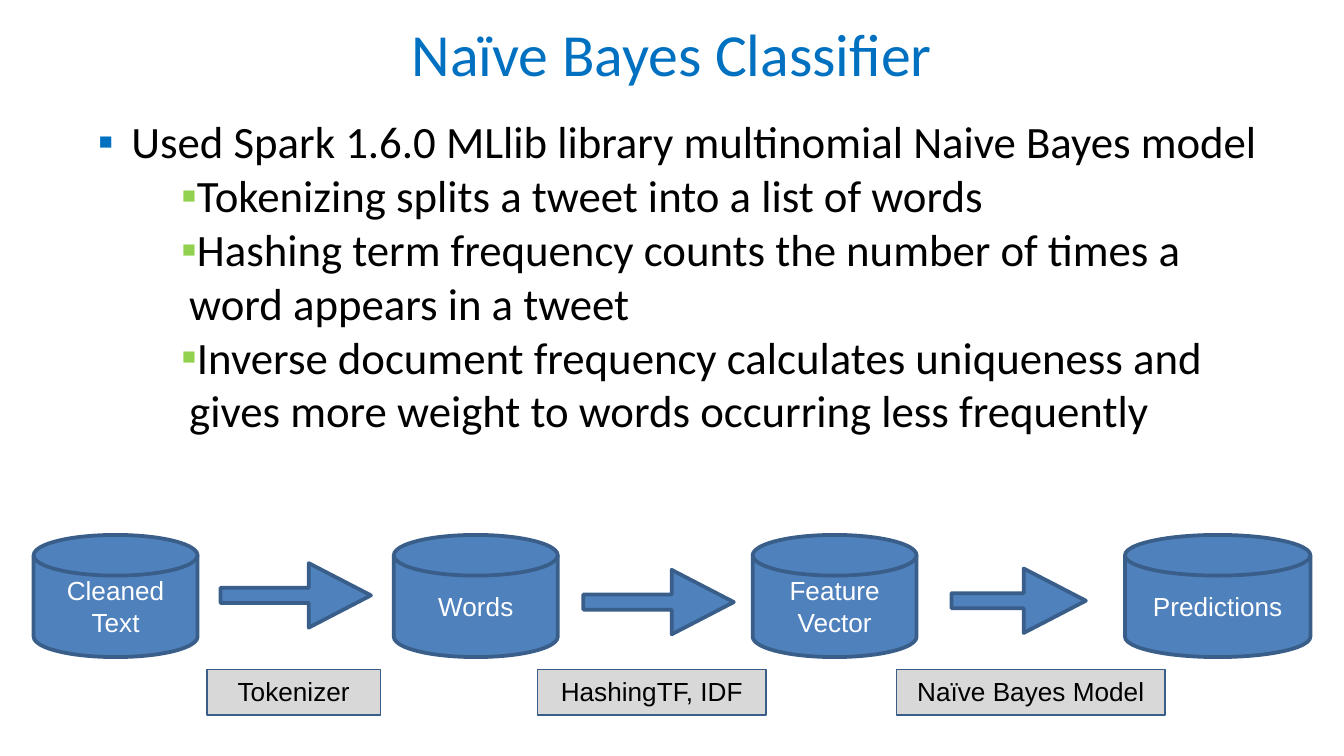
from lxml import etree
from pptx import Presentation
from pptx.dml.color import RGBColor
from pptx.enum.shapes import MSO_SHAPE
from pptx.enum.text import MSO_ANCHOR, PP_ALIGN
from pptx.oxml.ns import qn
from pptx.util import Inches, Pt

CENTER = PP_ALIGN.CENTER
LEFT = PP_ALIGN.LEFT
TOP = MSO_ANCHOR.TOP
MIDDLE = MSO_ANCHOR.MIDDLE
DISK = MSO_SHAPE.FLOWCHART_MAGNETIC_DISK
ARROW = MSO_SHAPE.RIGHT_ARROW
RECTANGLE = MSO_SHAPE.RECTANGLE

BLACK = RGBColor(0x00, 0x00, 0x00)
WHITE = RGBColor(0xFF, 0xFF, 0xFF)
TITLE_BLUE = RGBColor(0x00, 0x70, 0xC0)
BULLET_GREEN = RGBColor(0x92, 0xD0, 0x50)
STEP_BLUE = RGBColor(0x4F, 0x81, 0xBD)
OUTLINE_BLUE = RGBColor(0x39, 0x5E, 0x89)
LABEL_GREY = RGBColor(0xD8, 0xD8, 0xD8)

POINTS = [
    (0, "Used Spark 1.6.0 MLlib library multinomial Naive Bayes model"),
    (1, "Tokenizing splits a tweet into a list of words"),
    (1, "Hashing term frequency counts the number of times a word appears in a tweet"),
    (1, "Inverse document frequency calculates uniqueness and gives more weight "
        "to words occurring less frequently"),
]
LEVELS = [(0.38, -0.25, TITLE_BLUE), (0.81, -0.06, BULLET_GREEN)]

STAGES = [
    ("Cleaned Text", 0, 1.22),
    ("Words", 2.68, 1.22),
    ("Feature Vector", 5.35, 1.22),
    ("Predictions", 8.12, 1.38),
]
ARROWS = [(1.39, 0.21, 1.12), (4.09, 0.26, 1.12), (6.83, 0.25, 1)]
LABELS = [
    ("Tokenizer", 1.29, 1.29),
    ("HashingTF, IDF", 3.75, 1.7),
    ("Naïve Bayes Model", 6.42, 2),
]


def prepare_frame(shape, anchor, side, vertical):
    frame = shape.text_frame
    frame.word_wrap = True
    frame.vertical_anchor = anchor
    frame.margin_left = frame.margin_right = Inches(side)
    frame.margin_top = frame.margin_bottom = Inches(vertical)
    return frame


def write(para, text, size, font, color, align):
    para.alignment = align
    span = para.add_run()
    span.text = text
    span.font.size = Pt(size)
    span.font.name = font
    span.font.color.rgb = color


def add_bullet(para, level):
    margin, indent, color = LEVELS[level]
    para.level = level
    properties = para._p.get_or_add_pPr()
    properties.set("marL", str(Inches(margin)))
    properties.set("indent", str(Inches(indent)))
    bullet_color = etree.SubElement(properties, qn("a:buClr"))
    etree.SubElement(bullet_color, qn("a:srgbClr"), val=str(color))
    etree.SubElement(properties, qn("a:buFont"), typeface="Arial")
    etree.SubElement(properties, qn("a:buChar"), char="▪")


def add_filled_shape(page, kind, left, top, width, height, fill, line_width):
    shape = page.shapes.add_shape(
        kind, Inches(left), Inches(top), Inches(width), Inches(height))
    shape.shadow.inherit = False
    shape.fill.solid()
    shape.fill.fore_color.rgb = fill
    shape.line.color.rgb = OUTLINE_BLUE
    shape.line.width = Pt(line_width)
    return shape


def add_title(page, left, top, width, height):
    box = page.shapes.add_textbox(
        Inches(left), Inches(top), Inches(width), Inches(height))
    frame = prepare_frame(box, MIDDLE, 0.1, 0.1)
    write(frame.paragraphs[0], "Naïve Bayes Classifier", 32, "Calibri", TITLE_BLUE, CENTER)


def add_points(page, left, top, width, height):
    box = page.shapes.add_textbox(
        Inches(left), Inches(top), Inches(width), Inches(height))
    frame = prepare_frame(box, TOP, 0.1, 0.1)
    for index, (level, text) in enumerate(POINTS):
        para = frame.add_paragraph() if index else frame.paragraphs[0]
        add_bullet(para, level)
        write(para, text, 24, "Calibri", BLACK, LEFT)


def add_pipeline(page, left, top):
    for text, offset, width in STAGES:
        disk = add_filled_shape(page, DISK, left + offset, top, width, 0.91, STEP_BLUE, 2)
        frame = prepare_frame(disk, MIDDLE, 0.1, 0.05)
        write(frame.paragraphs[0], text, 14, "Arial", WHITE, CENTER)
    for offset, drop, width in ARROWS:
        arrow = add_filled_shape(
            page, ARROW, left + offset, top + drop, width, 0.48, STEP_BLUE, 2)
        arrow.adjustments[0] = 0.235
        arrow.adjustments[1] = 0.964
    for text, offset, width in LABELS:
        label = add_filled_shape(
            page, RECTANGLE, left + offset, top + 1, width, 0.34, LABEL_GREY, 0.75)
        frame = prepare_frame(label, TOP, 0.1, 0.05)
        write(frame.paragraphs[0], text, 14, "Arial", BLACK, CENTER)


def main():
    deck = Presentation()
    deck.slide_width = Inches(10)
    deck.slide_height = Inches(10) * 9 // 16
    page = deck.slides.add_slide(deck.slide_layouts[6])
    add_title(page, 0.5, 0.1, 9, 0.59)
    add_points(page, 0.5, 0.75, 9, 2.86)
    add_pipeline(page, 0.25, 3.98)
    deck.save("out.pptx")


if __name__ == "__main__":
    main()
